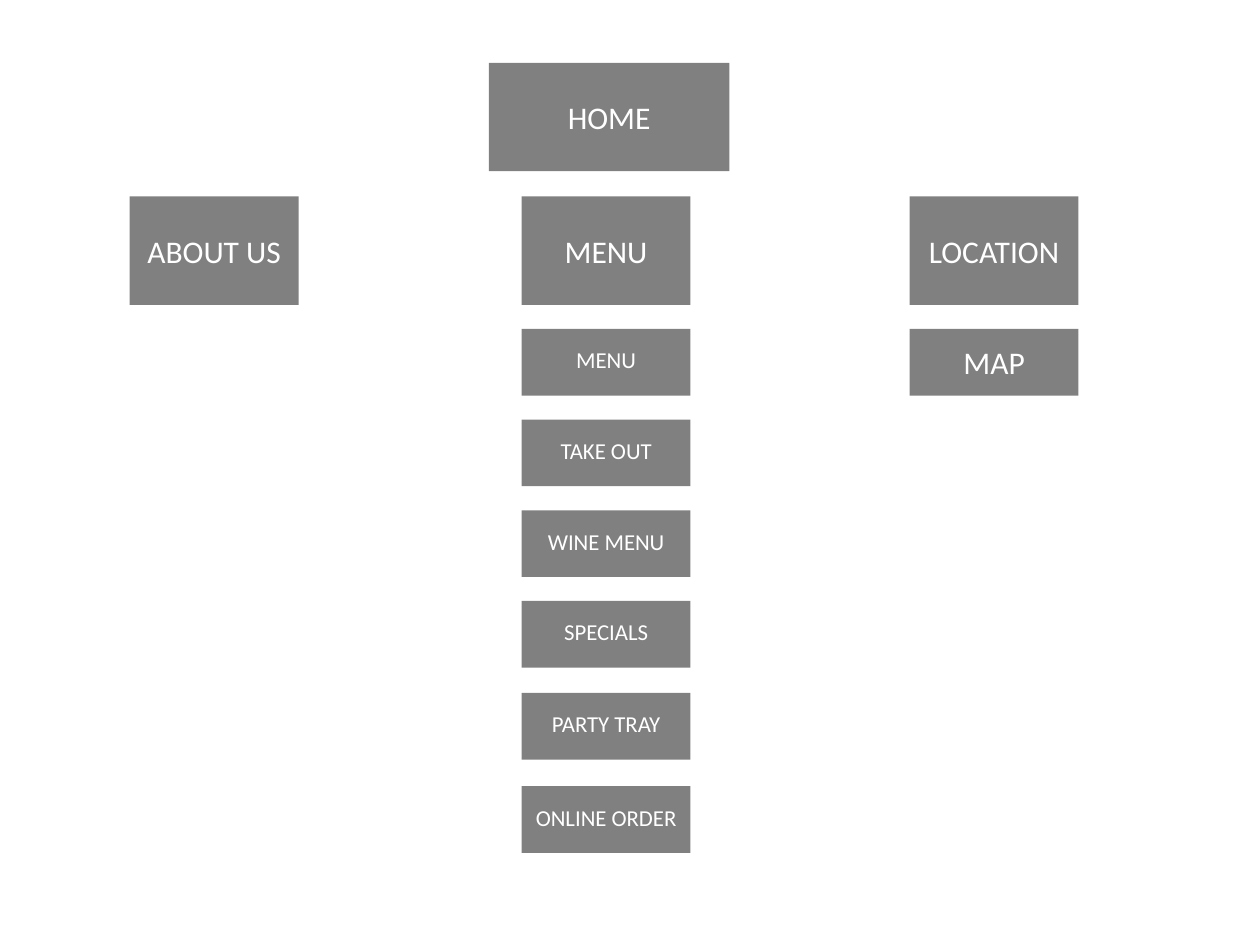
"""Build a restaurant site map slide."""
from dataclasses import dataclass

import pptx
import pptx.dml.color
import pptx.enum.shapes
import pptx.enum.text
import pptx.presentation
import pptx.slide
import pptx.util
from pptx.util import Inches

GRAY = pptx.dml.color.RGBColor(0x80, 0x80, 0x80)
WHITE = pptx.dml.color.RGBColor(0xFF, 0xFF, 0xFF)
FONT = "Calibri"

ABOUT_LEFT, MENU_LEFT, LOCATION_LEFT = 1.03, 4.14, 7.22
SECTION_TOP, SUBPAGE_TOP = 1.56, 2.61
SUBPAGE_HEIGHT = 0.53


@dataclass(frozen=True)
class PageBox:
    label: str
    left: float
    top: float
    width: float = 1.34
    height: float = 0.86
    font_size: int = 18
    line_spacing: float | None = None


MENU_PAGES = (
    ("MENU", SUBPAGE_TOP),
    ("TAKE OUT", 3.33),
    ("WINE MENU", 4.05),
    ("SPECIALS", 4.77),
    ("PARTY TRAY", 5.5),
    ("ONLINE ORDER", 6.24),
)

PAGE_BOXES = [
    PageBox("HOME", 3.88, 0.5, width=1.91),
    PageBox("ABOUT US", ABOUT_LEFT, SECTION_TOP),
    PageBox("MENU", MENU_LEFT, SECTION_TOP),
    PageBox("LOCATION", LOCATION_LEFT, SECTION_TOP),
    *(
        PageBox(label, MENU_LEFT, top, height=SUBPAGE_HEIGHT, font_size=13, line_spacing=0.8)
        for label, top in MENU_PAGES
    ),
    PageBox("MAP", LOCATION_LEFT, SUBPAGE_TOP, height=SUBPAGE_HEIGHT),
]


def draw_page_box(slide: pptx.slide.Slide, box: PageBox) -> None:
    """Draw one labelled page rectangle."""
    shape = slide.shapes.add_shape(
        pptx.enum.shapes.MSO_SHAPE.RECTANGLE,
        Inches(box.left), Inches(box.top), Inches(box.width), Inches(box.height),
    )
    shape.shadow.inherit = False
    shape.fill.solid()
    shape.fill.fore_color.rgb = GRAY
    shape.line.fill.background()

    text_frame = shape.text_frame
    text_frame.text = box.label
    text_frame.word_wrap = True
    text_frame.vertical_anchor = pptx.enum.text.MSO_ANCHOR.MIDDLE
    paragraph = text_frame.paragraphs[0]
    paragraph.alignment = pptx.enum.text.PP_ALIGN.CENTER
    if box.line_spacing is not None:
        paragraph.line_spacing = box.line_spacing
    font = paragraph.runs[0].font
    font.name = FONT
    font.size = pptx.util.Pt(box.font_size)
    font.color.rgb = WHITE


def build_presentation() -> pptx.presentation.Presentation:
    """Create the presentation with its site map slide."""
    presentation = pptx.Presentation()
    presentation.slide_width = Inches(10)
    presentation.slide_height = Inches(7.5)
    slide = presentation.slides.add_slide(presentation.slide_layouts.get_by_name("Blank"))
    for box in PAGE_BOXES:
        draw_page_box(slide, box)
    return presentation


build_presentation().save("out.pptx")
